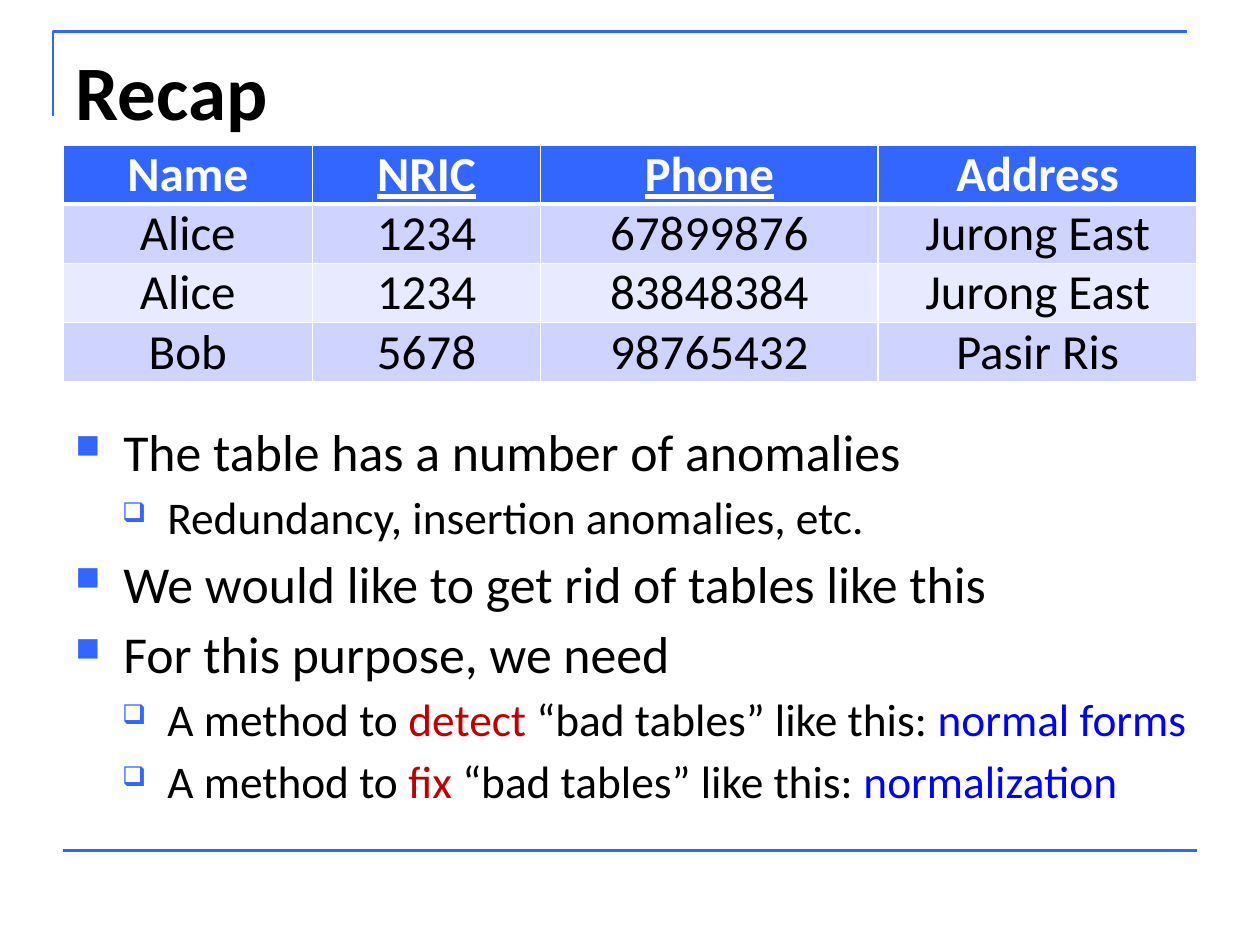
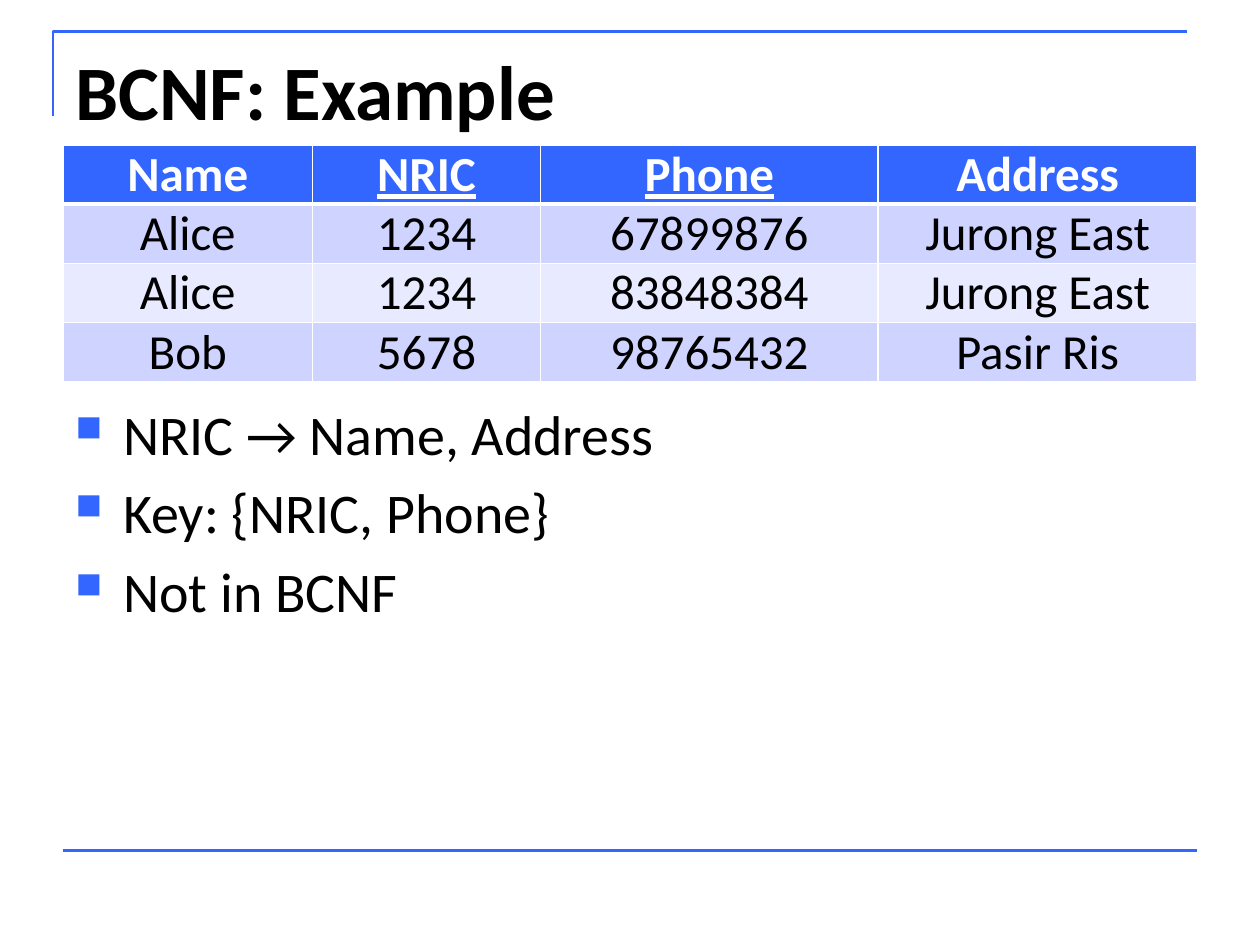
from lxml import etree
from pptx import Presentation
from pptx import util as u
from pptx.dml.color import RGBColor
from pptx.enum import shapes, text
from pptx.oxml import ns

BLUE = RGBColor(0x33, 0x66, 0xFF)
BLACK = RGBColor(0, 0, 0)
WHITE = RGBColor(255, 255, 255)
RED = RGBColor(0xC0, 0, 0)
LINK = RGBColor(0, 0, 0xFF)
DARK = RGBColor(0xCE, 0xD3, 0xFF)
PALE = RGBColor(0xE8, 0xEA, 0xFF)
FONT = "Calibri"
LEFT, WIDTH = 0.5, 9

COLS = (1.98, 1.81, 2.68, 2.53)
ROW = 0.47
KEYS = ("NRIC", "Phone")
ROWS = (
    ("Name", "NRIC", "Phone", "Address"),
    ("Alice", "1234", "67899876", "Jurong East"),
    ("Alice", "1234", "83848384", "Jurong East"),
    ("Bob", "5678", "98765432", "Pasir Ris"),
)
LEVELS = (("■", 65, 0.38, 0.38), ("❑", 60, 0.73, 0.36))

RECAP = (
    (0, [("The table has a number of anomalies", BLACK)]),
    (1, [("Redundancy, insertion anomalies, etc.", BLACK)]),
    (0, [("We would like to get rid of tables like this", BLACK)]),
    (0, [("For this purpose, we need", BLACK)]),
    (1, [("A method to ", BLACK), ("detect", RED),
         (" “bad tables” like this: ", BLACK), ("normal forms", LINK)]),
    (1, [("A method to ", BLACK), ("fix", RED),
         (" “bad tables” like this: ", BLACK), ("normalization", LINK)]),
)
BCNF = (
    (0, [("NRIC → Name, Address", BLACK)]),
    (0, [("Key: {NRIC, Phone}", BLACK)]),
    (0, [("Not in BCNF", BLACK)]),
)


def add_sub(parent, tag, **attrs):
    node = etree.SubElement(parent, ns.qn(tag))
    for key, value in attrs.items():
        node.set(key, str(value))
    return node


def add_run(para, words, size, color, bold=False, under=False):
    run = para.add_run()
    run.text = words
    font = run.font
    font.name, font.size, font.bold = FONT, u.Pt(size), bold
    font.color.rgb = color
    if under:
        font.underline = True


def add_box(slide, top, width, height):
    box = slide.shapes.add_textbox(u.Inches(LEFT), u.Inches(top), u.Inches(width), u.Inches(height))
    frame = box.text_frame
    frame.word_wrap = True
    frame.vertical_anchor = text.MSO_ANCHOR.TOP
    return frame


def set_line(shape):
    shape.line.color.rgb = BLUE
    shape.line.width = u.Pt(1.5)


def add_rules(slide):
    pen = slide.shapes.build_freeform(u.Inches(0.42), u.Inches(0.92))
    pen.add_line_segments([(u.Inches(0.42), u.Inches(0.25)),
                           (u.Inches(9.42), u.Inches(0.25))], close=False)
    corner = pen.convert_to_shape()
    corner.shadow.inherit = False
    corner.fill.background()
    set_line(corner)
    foot = slide.shapes.add_connector(shapes.MSO_CONNECTOR.STRAIGHT, u.Inches(LEFT), u.Inches(6.75),
                                      u.Inches(LEFT + WIDTH), u.Inches(6.75))
    set_line(foot)
    add_sub(foot._element.spPr, "a:effectLst")


def add_bullet(para, level):
    char, size, indent, hang = LEVELS[level]
    props = para._p.get_or_add_pPr()
    props.set("marL", str(u.Inches(indent)))
    props.set("indent", str(-u.Inches(hang)))
    color = add_sub(props, "a:buClr")
    add_sub(color, "a:srgbClr", val=BLUE)
    add_sub(props, "a:buSzPct", val=size * 1000)
    add_sub(props, "a:buChar", char=char)


def add_body(slide, top, width, height, sizes, gap, items):
    frame = add_box(slide, top, width, height)
    for pos, (level, runs) in enumerate(items):
        para = frame.add_paragraph() if pos else frame.paragraphs[0]
        para.level = level
        para.space_before = u.Pt(sizes[level] * gap)
        add_bullet(para, level)
        for words, color in runs:
            add_run(para, words, sizes[level], color)


def set_edges(cell, row):
    props = cell._tc.get_or_add_tcPr()
    wide = {"T": 3 if row == 1 else 1, "B": 3 if row == 0 else 1}
    for side in "LRTB":
        edge = add_sub(props, "a:ln" + side, w=u.Pt(wide.get(side, 1)))
        add_sub(add_sub(edge, "a:solidFill"), "a:srgbClr", val=WHITE)


def add_grid(slide):
    frame = slide.shapes.add_table(len(ROWS), len(COLS), u.Inches(LEFT), u.Inches(1.15),
                                   u.Inches(WIDTH), u.Inches(ROW * len(ROWS)))
    table = frame.table
    for col, width in zip(table.columns, COLS):
        col.width = u.Inches(width)
    for row, names in enumerate(ROWS):
        table.rows[row].height = u.Inches(ROW)
        head = row == 0
        for col, words in enumerate(names):
            cell = table.cell(row, col)
            cell.margin_top = cell.margin_bottom = 0
            set_edges(cell, row)
            cell.fill.solid()
            cell.fill.fore_color.rgb = BLUE if head else DARK if row % 2 else PALE
            para = cell.text_frame.paragraphs[0]
            para.alignment = text.PP_ALIGN.CENTER
            add_run(para, words, 28, WHITE if head else BLACK, head, head and words in KEYS)


def add_page(deck, title):
    slide = deck.slides.add_slide(deck.slide_layouts[6])
    add_rules(slide)
    add_run(add_box(slide, 0.3, WIDTH, 1.25).paragraphs[0], title, 44, BLACK, True)
    add_grid(slide)
    return slide


def main():
    deck = Presentation()
    deck.slide_width, deck.slide_height = u.Inches(10), u.Inches(7.5)
    add_body(add_page(deck, "Recap"), 3.28, 9.15, 3.43, (29.6, 25.9), 0.16, RECAP)
    add_body(add_page(deck, "BCNF: Example"), 3.12, WIDTH, 3.78, (32, 28), 0.2, BCNF)
    deck.save("out.pptx")


main()
